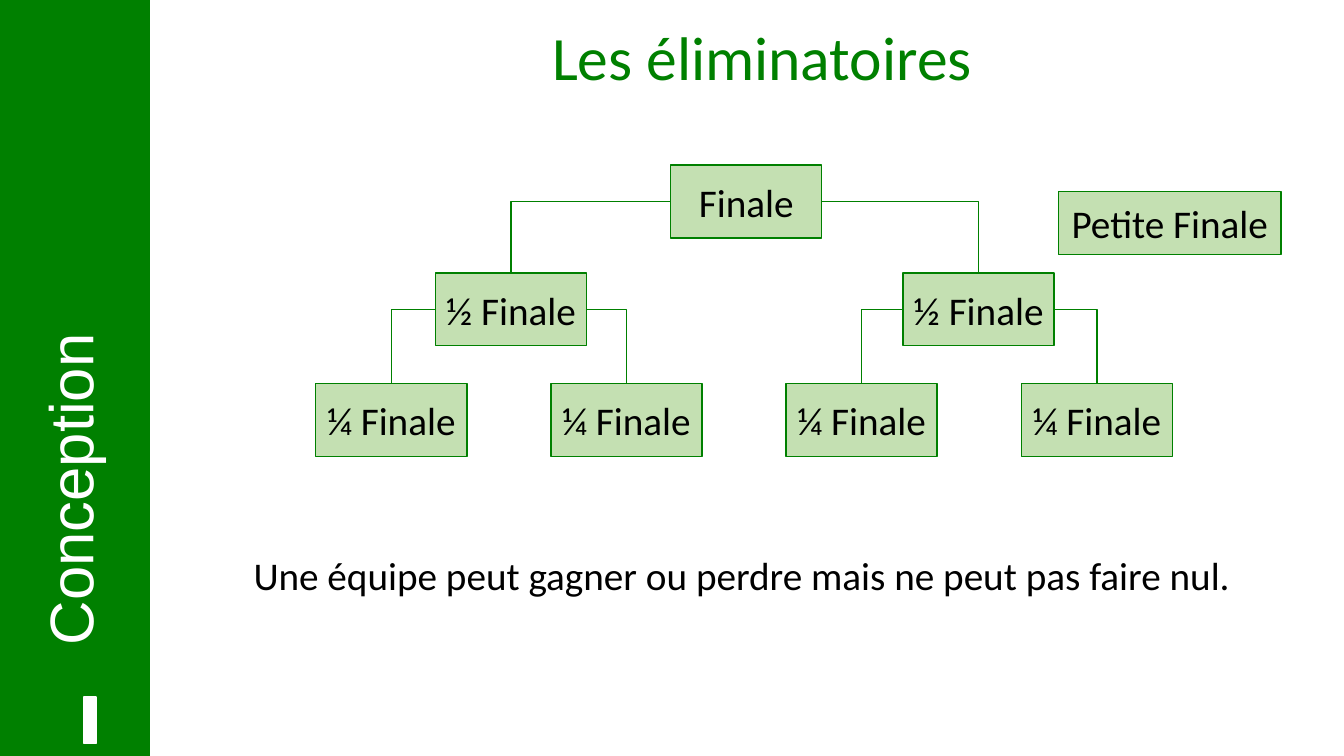
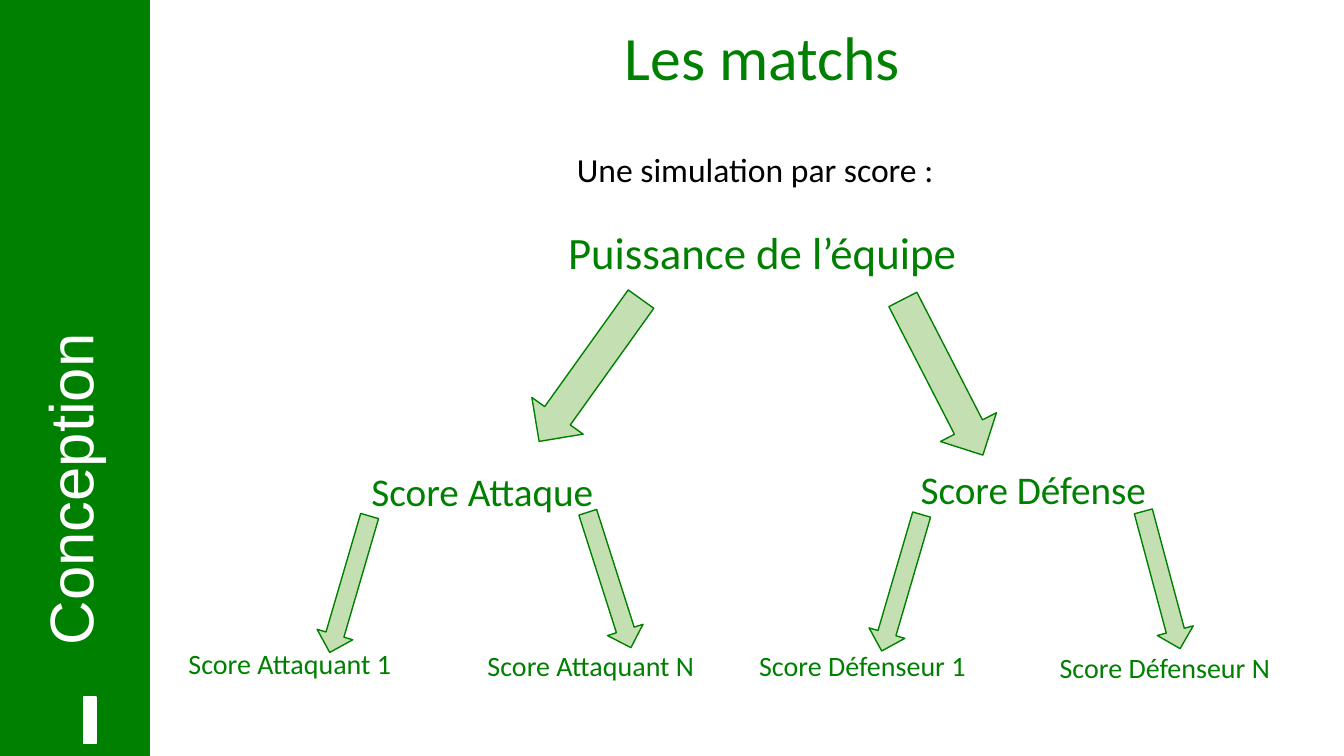
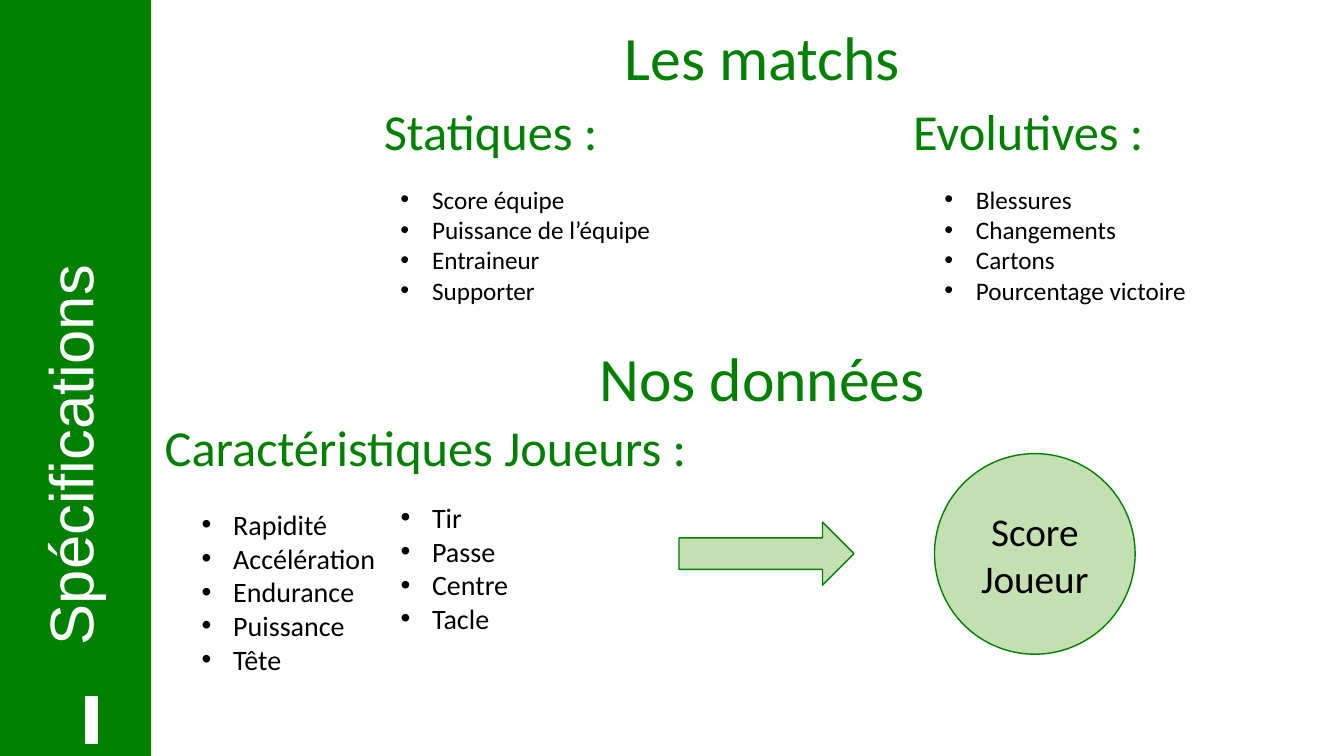
from lxml import etree
from pptx import Presentation
from pptx.dml.color import RGBColor
from pptx.enum.shapes import MSO_CONNECTOR, MSO_SHAPE
from pptx.enum.text import MSO_ANCHOR, PP_ALIGN
from pptx.oxml.ns import qn
from pptx.util import Pt

RECT, OVAL, ARROW = MSO_SHAPE.RECTANGLE, MSO_SHAPE.OVAL, MSO_SHAPE.RIGHT_ARROW
ELBOW = MSO_CONNECTOR.ELBOW
LEFT, CENTER = PP_ALIGN.LEFT, PP_ALIGN.CENTER
MIDDLE = MSO_ANCHOR.MIDDLE
TOP_SIDE, LEFT_SIDE, RIGHT_SIDE = 0, 1, 3


class Theme:
    green = RGBColor(0x00, 0x80, 0x00)
    pale = RGBColor(0xC4, 0xE0, 0xB2)
    white = RGBColor(0xFF, 0xFF, 0xFF)
    black = RGBColor(0x00, 0x00, 0x00)
    body_font = "Calibri"
    band_font = "Arial"
    title = 44
    heading = 36
    subheading = 32
    body = 28
    lead = 24
    small = 20
    fine = 18
    line = 1
    bullet_indent = 22.5


def add_text(s, x, y, w, h, lines, size, color=Theme.green, align=CENTER,
             font=Theme.body_font, bullets=False):
    tf = s.shapes.add_textbox(Pt(x), Pt(y), Pt(w), Pt(h)).text_frame
    tf.word_wrap = True
    for i, line in enumerate(lines):
        p = tf.add_paragraph() if i else tf.paragraphs[0]
        p.alignment = align
        r = p.add_run()
        r.text = line
        r.font.size = Pt(size)
        r.font.name = font
        r.font.color.rgb = color
        if bullets:
            pPr = p._p.get_or_add_pPr()
            pPr.set("marL", str(Pt(Theme.bullet_indent)))
            pPr.set("indent", str(-Pt(Theme.bullet_indent)))
            etree.SubElement(pPr, qn("a:buFont")).set("typeface", "Arial")
            etree.SubElement(pPr, qn("a:buChar")).set("char", "•")
    return tf


def add_box(s, kind, x, y, w, h, text="", rotation=0, fill=Theme.pale, line=Theme.green):
    sp = s.shapes.add_shape(kind, Pt(x), Pt(y), Pt(w), Pt(h))
    sp.rotation = rotation
    sp.shadow.inherit = False
    sp.fill.solid()
    sp.fill.fore_color.rgb = fill
    sp.line.color.rgb = line
    sp.line.width = Pt(Theme.line)
    if text:
        tf = sp.text_frame
        tf.word_wrap = True
        tf.vertical_anchor = MIDDLE
        tf.margin_left = tf.margin_right = Pt(3.6)
        p = tf.paragraphs[0]
        p.alignment = CENTER
        r = p.add_run()
        r.text = text
        r.font.size = Pt(Theme.body)
        r.font.name = Theme.body_font
        r.font.color.rgb = Theme.black
    return sp


prs = Presentation()
prs.slide_width, prs.slide_height = Pt(960), Pt(540)

slides = []
for section, title, band_w in [
    ("Conception", "Les éliminatoires", 107),
    ("Conception", "Les matchs", 107),
    ("Spécifications", "Les matchs", 108),
]:
    s = prs.slides.add_slide(prs.slide_layouts[6])
    add_box(s, RECT, 0, 0, band_w, 540, fill=Theme.green).line.fill.background()
    add_box(s, RECT, band_w - 47, 498, 8.6, 33, fill=Theme.white, line=Theme.white)
    tf = add_text(s, 0, 36, 105, 425, [section], Theme.title, Theme.white, LEFT, Theme.band_font)
    tf.margin_left = tf.margin_right = tf.margin_top = tf.margin_bottom = 0
    tf.vertical_anchor = MIDDLE
    tf.paragraphs[0].line_spacing = 0.9
    tf._txBody.bodyPr.set("vert", "vert270")
    add_text(s, 350, 10, 389, 60, [title], Theme.title)
    slides.append(s)
knockout, matches, data = slides

rounds = []
for name, count, x, y, step in [
    ("Finale", 1, 479, 118, 0),
    ("½ Finale", 2, 311, 195, 334),
    ("¼ Finale", 4, 225.5, 274, 168),
]:
    for i in range(count):
        rounds.append(add_box(knockout, RECT, x + i * step, y, 108, 52, name))

for i, child in enumerate(rounds[1:]):
    parent = rounds[i // 2]
    side = RIGHT_SIDE if i % 2 else LEFT_SIDE
    start_x = parent.left + (parent.width if i % 2 else 0)
    c = knockout.shapes.add_connector(
        ELBOW, start_x, parent.top + parent.height // 2,
        child.left + child.width // 2, child.top)
    c.begin_connect(parent, side)
    c.end_connect(child, TOP_SIDE)
    c.line.color.rgb = Theme.green
    c.line.width = Pt(Theme.line)
    spPr = c._element.spPr
    spPr.find(qn("a:prstGeom")).set("prst", "bentConnector2")
    etree.SubElement(spPr, qn("a:effectLst"))

add_box(knockout, RECT, 756, 137, 159, 45, "Petite Finale")
add_text(knockout, 174, 390, 741, 63,
         ["Une équipe peut gagner ou perdre mais ne peut pas faire nul."],
         Theme.body, Theme.black, LEFT)

add_text(matches, 405, 103, 280, 36, ["Une simulation par score :"], Theme.lead, Theme.black, LEFT)
add_text(matches, 350, 157, 389, 46, ["Puissance de l’équipe"], Theme.subheading)
for label, x, y, h, size in [
    ("Score Attaque", 235.5, 330, 41, Theme.body),
    ("Score Défense", 629, 329, 41, Theme.body),
    ("Score Attaquant 1", 98, 458, 32, Theme.small),
    ("Score Attaquant N", 313, 459.5, 32, Theme.small),
    ("Score Défenseur 1", 507, 459.5, 32, Theme.small),
    ("Score Défenseur N", 723, 461, 32, Theme.small),
]:
    add_text(matches, x, y, 218, h, [label], size)
for x, y, w, h, angle in [
    (359, 242, 125, 45, 125.6),
    (611, 247, 125, 45, 62.8),
    (199, 404, 101.5, 26.6, 106.3),
    (384.5, 401, 101.5, 26.6, 72.3),
    (593.3, 403, 101.5, 26.6, 106.3),
    (779, 401, 101.5, 26.6, 75),
]:
    add_box(matches, ARROW, x, y, w, h, rotation=angle)

add_text(data, 350, 239, 389, 60, ["Nos données"], Theme.title)
for heading, x, y in [
    ("Statiques :", 156, 68),
    ("Evolutives :", 540, 68),
    ("Caractéristiques Joueurs :", 109.5, 294),
]:
    add_text(data, x, y, 389, 51, [heading], Theme.heading)
for x, y, w, h, size, items in [
    (279, 128, 202, 94, Theme.fine,
     ["Score équipe", "Puissance de l’équipe", "Entraineur", "Supporter"]),
    (667.5, 128, 215, 94, Theme.fine,
     ["Blessures", "Changements", "Cartons", "Pourcentage victoire"]),
    (137, 359, 167, 128, Theme.small,
     ["Rapidité", "Accélération", "Endurance", "Puissance", "Tête"]),
    (279, 354, 167, 104, Theme.small,
     ["Tir", "Passe", "Centre", "Tacle"]),
]:
    add_text(data, x, y, w, h, items, size, Theme.black, LEFT, bullets=True)
add_box(data, ARROW, 485, 373, 125, 45)
add_box(data, OVAL, 667.5, 324, 143.3, 143.3, "Score Joueur")

prs.save("out.pptx")
